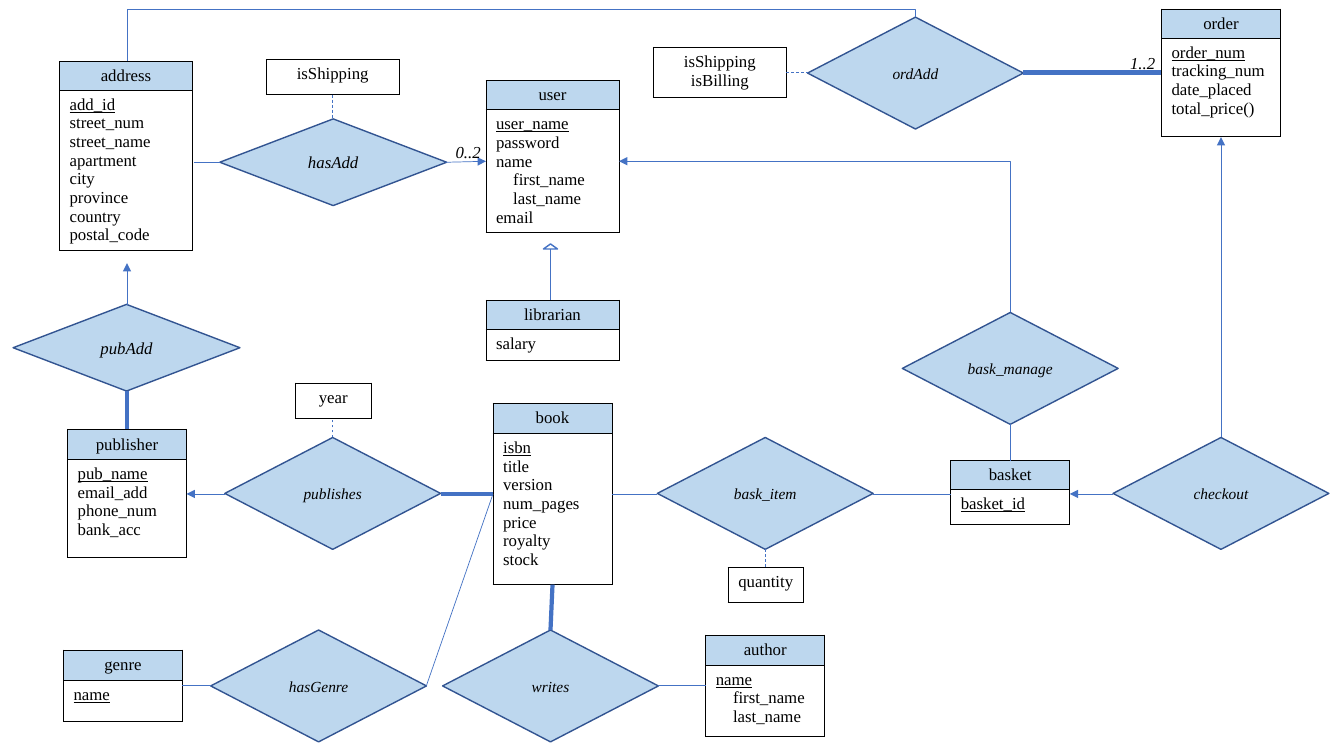
from lxml.etree import SubElement
from pptx import Presentation
from pptx.dml.color import RGBColor
from pptx.enum.dml import MSO_LINE
from pptx.enum.shapes import MSO_CONNECTOR, MSO_SHAPE
from pptx.enum.text import MSO_ANCHOR, PP_ALIGN
from pptx.oxml import parse_xml
from pptx.oxml.ns import nsdecls, qn
from pptx.util import Inches, Pt

BLACK = RGBColor(0x00, 0x00, 0x00)
WHITE = RGBColor(0xFF, 0xFF, 0xFF)
PALE_BLUE = RGBColor(0xBD, 0xD7, 0xEE)
LINE_BLUE = RGBColor(0x44, 0x72, 0xC4)
EDGE_BLUE = RGBColor(0x32, 0x54, 0x91)
FONT = "Times New Roman"
THIN, THICK = 0.5, 3
WIDE, NARROW = 1.32, 1.18
LARGE, FLAT = (2.14, 1.11, 11), (2.25, 0.86, 12)

# left, top, width, header height, body height, name, key attribute, other attributes
# An attribute that starts with ">" is part of the composite attribute above it.
ENTITIES = [
    (4.82, 0.8, WIDE, 0.29, 1.22, "user", "user_name",
     ["password", "name", ">first_name", ">last_name", "email"]),
    (11.52, 0.09, NARROW, 0.29, 0.97, "order", "order_num",
     ["tracking_num", "date_placed", "total_price()"]),
    (9.43, 4.57, NARROW, 0.28, 0.35, "basket", "basket_id", []),
    (4.82, 2.98, WIDE, 0.29, 0.31, "librarian", None, ["salary"]),
    (0.59, 0.61, WIDE, 0.28, 1.59, "address", "add_id",
     ["street_num", "street_name", "apartment", "city", "province", "country",
      "postal_code"]),
    (4.89, 4.0, NARROW, 0.3, 1.5, "book", "isbn",
     ["title", "version", "num_pages", "price", "royalty", "stock"]),
    (0.67, 4.26, NARROW, 0.3, 0.97, "publisher", "pub_name",
     ["email_add", "phone_num", "bank_acc"]),
    (7.0, 6.3, NARROW, 0.3, 0.71, "author", "name", [">first_name", ">last_name"]),
    (0.63, 6.45, NARROW, 0.3, 0.41, "genre", "name", []),
]

# left, top, width, height, lines
ATTRIBUTES = [
    (2.64, 0.59, WIDE, 0.35, ["isShipping"]),
    (7.22, 5.63, 0.75, 0.35, ["quantity"]),
    (2.93, 3.8, 0.75, 0.35, ["year"]),
    (6.48, 0.47, WIDE, 0.5, ["isShipping", "isBilling"]),
]

# left, top, (width, height, font size), name
RELATIONSHIPS = [
    (8.95, 3.1, LARGE, "bask_manage"),
    (11.04, 4.34, LARGE, "checkout"),
    (2.18, 1.18, FLAT, "hasAdd"),
    (4.39, 6.25, LARGE, "writes"),
    (2.23, 4.34, LARGE, "publishes"),
    (6.52, 4.34, LARGE, "bask_item"),
    (0.13, 3.02, FLAT, "pubAdd"),
    (2.09, 6.25, LARGE, "hasGenre"),
    (8.01, 0.17, LARGE, "ordAdd"),
]

PLAIN_LINKS = [
    ((9.43, 4.9), (8.66, 4.9)), ((10.02, 4.21), (10.02, 4.57)),
    ((5.46, 2.47), (5.46, 2.98)), ((2.18, 1.61), (1.92, 1.61)),
    ((7.0, 6.8), (6.53, 6.8)), ((6.52, 4.9), (6.07, 4.9)),
    ((4.89, 4.9), (4.23, 6.8)), ((2.09, 6.8), (1.81, 6.8)),
]
ARROW_LINKS = [
    ((11.04, 4.9), (10.61, 4.9)), ((12.11, 4.34), (12.11, 1.36)),
    ((4.42, 1.61), (4.82, 1.6)), ((2.23, 4.9), (1.85, 4.9)),
    ((1.26, 3.03), (1.26, 2.61)),
]
TOTAL_LINKS = [
    ((5.48, 5.8), (5.46, 6.25)), ((4.37, 4.9), (4.89, 4.9)),
    ((1.26, 3.88), (1.26, 4.26)), ((10.15, 0.72), (11.52, 0.72)),
]
DASHED_LINKS = [
    ((3.3, 0.94), (3.3, 1.18)), ((7.59, 5.45), (7.59, 5.63)),
    ((3.3, 4.34), (3.3, 4.15)), ((7.8, 0.72), (8.01, 0.72)),
]


def style_font(paragraph, size=12, italic=False):
    """Give a paragraph the font of the diagram."""
    font = paragraph.font
    font.name, font.size, font.italic = FONT, Pt(size), italic
    font.color.rgb = BLACK


def fill_cell(cell, lines, color, alignment=PP_ALIGN.LEFT, key=None):
    """Write lines into a bordered cell, with the key line underlined."""
    cell.fill.solid()
    cell.fill.fore_color.rgb = color
    for index, side in enumerate(("lnL", "lnR", "lnT", "lnB")):
        cell._tc.get_or_add_tcPr().insert(index, parse_xml(
            f'<a:{side} {nsdecls("a")} w="9525"><a:solidFill>'
            f'<a:srgbClr val="{BLACK}"/></a:solidFill></a:{side}>'))
    frame = cell.text_frame
    for index, line in enumerate(lines):
        paragraph = frame.add_paragraph() if index else frame.paragraphs[0]
        paragraph.text = line.lstrip(">")
        paragraph.alignment = alignment
        style_font(paragraph)
        paragraph.font.underline = line == key
        if line.startswith(">"):
            paragraph._p.get_or_add_pPr().set("marL", str(Inches(0.17)))


def add_grid(slide, left, top, width, heights):
    """Add a one-column table with the given row heights."""
    table = slide.shapes.add_table(
        len(heights), 1, Inches(left), Inches(top), Inches(width),
        Inches(sum(heights))).table
    table.first_row = table.horz_banding = False
    for row, height in zip(table.rows, heights):
        row.height = Inches(height)
    return table


def add_entity(slide, left, top, width, header, body, name, key, others):
    """Add an entity: its name above its attributes."""
    table = add_grid(slide, left, top, width, (header, body))
    fill_cell(table.cell(0, 0), [name], PALE_BLUE, PP_ALIGN.CENTER)
    table.cell(0, 0).vertical_anchor = MSO_ANCHOR.MIDDLE
    fill_cell(table.cell(1, 0), ([key] if key else []) + others, WHITE, key=key)


def add_attribute(slide, left, top, width, height, lines):
    """Add the box of a relationship's attributes."""
    table = add_grid(slide, left, top, width, (height,))
    fill_cell(table.cell(0, 0), lines, WHITE, PP_ALIGN.CENTER)


def add_outline(slide, kind, left, top, width, height, fill, line):
    """Add a preset shape with a one-point outline."""
    shape = slide.shapes.add_shape(
        kind, Inches(left), Inches(top), Inches(width), Inches(height))
    shape.shadow.inherit = False
    shape.fill.solid()
    shape.fill.fore_color.rgb = fill
    shape.line.color.rgb = line
    shape.line.width = Pt(1)
    return shape


def add_relationship(slide, left, top, form, name):
    """Add a relationship diamond."""
    width, height, size = form
    shape = add_outline(slide, MSO_SHAPE.DIAMOND, left, top, width, height,
                        PALE_BLUE, EDGE_BLUE)
    frame = shape.text_frame
    frame.word_wrap = False
    frame.vertical_anchor = MSO_ANCHOR.MIDDLE
    paragraph = frame.paragraphs[0]
    paragraph.text = name
    paragraph.alignment = PP_ALIGN.CENTER
    style_font(paragraph, size, italic=True)


def add_link(slide, begin, end, width=THIN, arrow=False, dashed=False,
             kind=MSO_CONNECTOR.STRAIGHT):
    """Add a connector from begin to end."""
    connector = slide.shapes.add_connector(
        kind, *(Inches(value) for value in (*begin, *end)))
    connector.line.color.rgb = LINE_BLUE
    connector.line.width = Pt(width)
    if dashed:
        connector.line.dash_style = MSO_LINE.DASH
    if arrow:
        SubElement(connector.line._get_or_add_ln(), qn("a:tailEnd"), type="triangle")
    SubElement(connector._element.spPr, qn("a:effectLst"))
    return connector


def add_bent_link(slide, begin, end, preset, adjustment=None, arrow=False):
    """Add a bent connector that leaves its begin point vertically."""
    middle_x, middle_y = (begin[0] + end[0]) / 2, (begin[1] + end[1]) / 2
    across, down = (end[0] - begin[0]) / 2, (end[1] - begin[1]) / 2
    connector = add_link(
        slide, (middle_x + down, middle_y - across),
        (middle_x - down, middle_y + across), arrow=arrow, kind=MSO_CONNECTOR.ELBOW)
    properties = connector._element.spPr
    properties.find(qn("a:xfrm")).set("rot", str(270 * 60000))
    geometry = properties.find(qn("a:prstGeom"))
    geometry.set("prst", preset)
    if adjustment is not None:
        SubElement(geometry.find(qn("a:avLst")), qn("a:gd"), name="adj1",
                   fmla=f"val {round(adjustment * 100000)}")


def add_cardinality(slide, left, top, text):
    """Add a cardinality label."""
    box = slide.shapes.add_textbox(
        Inches(left), Inches(top), Inches(0.45), Inches(0.3))
    box.text_frame.word_wrap = False
    paragraph = box.text_frame.paragraphs[0]
    paragraph.text = text
    style_font(paragraph, italic=True)


def main():
    """Build the entity-relationship diagram."""
    presentation = Presentation()
    presentation.slide_width, presentation.slide_height = Inches(13.33), Inches(7.5)
    slide = presentation.slides.add_slide(presentation.slide_layouts[6])
    for entity in ENTITIES:
        add_entity(slide, *entity)
    for attribute in ATTRIBUTES:
        add_attribute(slide, *attribute)
    for relationship in RELATIONSHIPS:
        add_relationship(slide, *relationship)
    for links, options in ((PLAIN_LINKS, {}), (ARROW_LINKS, {"arrow": True}),
                           (TOTAL_LINKS, {"width": THICK}),
                           (DASHED_LINKS, {"dashed": True})):
        for begin, end in links:
            add_link(slide, begin, end, **options)
    add_bent_link(slide, (10.02, 3.1), (6.14, 1.6), "bentConnector2", arrow=True)
    add_bent_link(slide, (9.08, 0.17), (1.26, 0.61), "bentConnector3", -0.17)
    add_outline(slide, MSO_SHAPE.ISOSCELES_TRIANGLE, 5.39, 2.42, 0.14, 0.05,
                WHITE, LINE_BLUE)
    add_cardinality(slide, 4.42, 1.36, "0..2")
    add_cardinality(slide, 11.11, 0.47, "1..2")
    presentation.save("out.pptx")


main()
